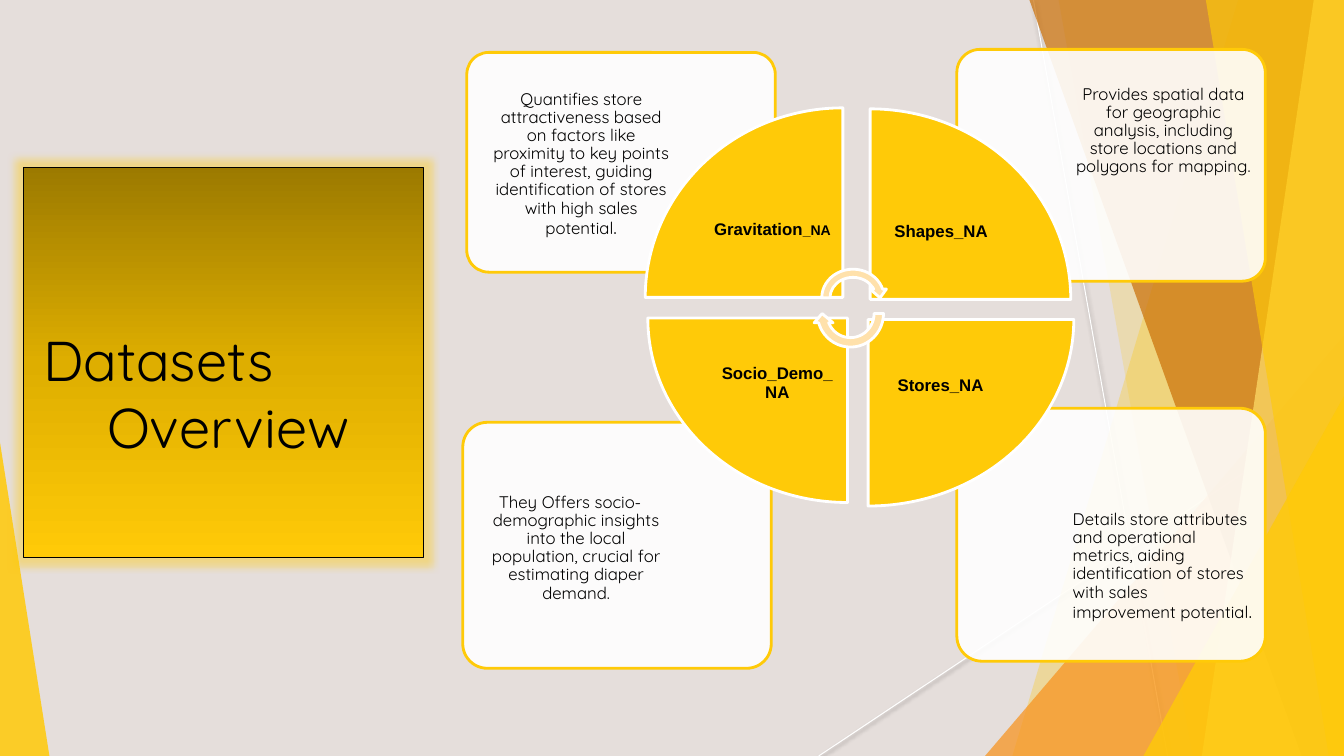
from dataclasses import dataclass

from lxml.etree import SubElement
from pptx import Presentation
from pptx.dml.color import RGBColor
from pptx.enum.shapes import MSO_CONNECTOR, MSO_SHAPE
from pptx.enum.text import MSO_ANCHOR as Anchor, MSO_AUTO_SIZE, PP_ALIGN as Align
from pptx.oxml import parse_xml
from pptx.oxml.ns import nsdecls, qn
from pptx.util import Inches, Pt

Box = tuple[float, float, float, float]
Point = tuple[float, float]


@dataclass(frozen=True)
class Theme:
    background: str = "E5DEDB"
    gold: str = "FFCA08"
    pale_gold: str = "FFDF6B"
    dark_gold: str = "9C7A00"
    mid_gold: str = "DEAE00"
    orange: str = "F8931D"
    brown: str = "CA6F06"
    arrow: str = "FFE1AB"
    white: str = "FFFFFF"
    black: str = "000000"
    display: str = "Quicksand"
    label: str = "Arial"
    title_size: float = 40
    body_size: float = 12
    stop_size: float = 14
    suffix_size: float = 10


THEME = Theme()
WIDTH, HEIGHT = 13.33, 7.5


@dataclass(frozen=True)
class Facet:
    """A translucent polygon of the backdrop."""
    points: tuple[Point, ...]
    color: str
    opacity: int


@dataclass(frozen=True)
class Corner:
    """A translucent triangle with its apex at the left (0) or right (1)."""
    box: Box
    apex: int
    color: str
    opacity: int


@dataclass(frozen=True)
class Card:
    frame: Box
    text_box: Box
    text: str
    top_inset: float
    stop: str = ""
    first_indent: float = 0
    align: Align = Align.CENTER


@dataclass(frozen=True)
class Wedge:
    box: Box
    rotation: int
    label_box: Box
    label: str
    suffix: str = ""


def right_band(top_x: float, bottom_x: float) -> tuple[Point, ...]:
    return ((top_x, 0), (WIDTH, 0), (WIDTH, HEIGHT), (bottom_x, HEIGHT))


RAYS = (((10.25, 0), (11.58, HEIGHT)), ((WIDTH, 4.03), (8.12, HEIGHT)))
BACKDROP = (
    Facet(right_band(12.28, 10.04), THEME.gold, 30),
    Facet(right_band(10.5, 11.83), THEME.gold, 20),
    Corner((9.77, 3.33, 3.56, 4.17), 1, THEME.orange, 72),
    Facet(right_band(10.21, 12.91), THEME.brown, 70),
    Facet(right_band(13.03, 11.92), THEME.pale_gold, 70),
    Facet(right_band(11.96, 13.18), THEME.gold, 65),
    Corner((11.34, 3.93, 1.99, 3.57), 1, THEME.gold, 80),
    Corner((0, 4.39, 0.49, 3.11), 0, THEME.gold, 85),
)
CARDS = (
    Card((9.49, 4.05, 3.06, 2.51), (10.46, 4.73, 2.03, 1.77),
         "Details store attributes and operational metrics, aiding identification "
         "of stores with sales improvement potential", 0.34, ".", align=Align.LEFT),
    Card((4.59, 4.19, 3.06, 2.44), (4.64, 4.85, 2.03, 1.72),
         "They Offers socio-demographic insights into the local population, "
         "crucial for estimating diaper demand.", 0.05, first_indent=-0.12),
    Card((9.49, 0.49, 3.06, 2.3), (10.46, 0.54, 2.04, 1.62),
         "Provides spatial data for geographic analysis, including store "
         "locations and polygons for mapping.", 0.31),
    Card((4.63, 0.52, 3.06, 2.18), (4.68, 0.57, 2.05, 1.54),
         "Quantifies store attractiveness based on factors like proximity to key "
         "points of interest, guiding identification of stores with high sales "
         "potential", 0.33, "."),
)
WEDGES = (
    Wedge((6.4, 1.07, 1.96, 1.88), 0, (6.97, 1.62, 1.38, 1.33), "Gravitation", "_NA"),
    Wedge((8.68, 1.03, 1.89, 1.99), 90, (8.63, 1.63, 1.41, 1.34), "Shapes_NA"),
    Wedge((8.61, 3.17, 2.04, 1.85), 180, (8.61, 3.17, 1.44, 1.31), "Stores_NA"),
    Wedge((6.5, 3.08, 1.83, 1.98), 270, (7.01, 3.16, 1.4, 1.29), "Socio_Demo_NA"),
)
CYCLE_ARROWS = (((8.11, 2.63, 0.7, 0.65), 0), ((8.06, 2.73, 0.75, 0.76), 180))


def inches(box: Box) -> list[Inches]:
    return [Inches(length) for length in box]


def paint(shape, color: str, opacity: int = 100, outline: str = "", weight: float = 2) -> None:
    shape.shadow.inherit = False
    shape.fill.solid()
    shape.fill.fore_color.rgb = RGBColor.from_string(color)
    if opacity < 100:
        tint = shape._element.spPr.find(qn("a:solidFill")).find(qn("a:srgbClr"))
        SubElement(tint, qn("a:alpha")).set("val", str(opacity * 1000))
    if outline:
        shape.line.color.rgb = RGBColor.from_string(outline)
        shape.line.width = Pt(weight)
    else:
        shape.line.fill.background()


def add_run(paragraph, text: str, *, font: str, size: float, bold: bool = False) -> None:
    run = paragraph.add_run()
    run.text = text
    run.font.name = font
    run.font.size = Pt(size)
    run.font.bold = bold
    run.font.color.rgb = RGBColor.from_string(THEME.black)


def add_text(shapes, box: Box, parts: list[tuple[str, float]], *, font: str, inset: float,
             top: float, anchor: Anchor = Anchor.TOP, align: Align = Align.CENTER,
             bold: bool = False, margin: float = 0, indent: float = 0) -> None:
    """Add a one-paragraph box whose parts are (text, size) pairs."""
    frame = shapes.add_textbox(*inches(box)).text_frame
    frame.word_wrap = True
    frame.vertical_anchor = anchor
    frame.margin_left = frame.margin_right = frame.margin_bottom = Inches(inset)
    frame.margin_top = Inches(top)
    paragraph = frame.paragraphs[0]
    paragraph.alignment = align
    paragraph.line_spacing = 0.9
    properties = paragraph._p.get_or_add_pPr()
    properties.set("marL", str(Inches(margin)))
    properties.set("indent", str(Inches(indent)))
    for text, size in parts:
        if text:
            add_run(paragraph, text, font=font, size=size, bold=bold)


def draw_backdrop(shapes) -> None:
    for start, end in RAYS:
        ray = shapes.add_connector(MSO_CONNECTOR.STRAIGHT, *inches(start + end))
        ray.line.color.rgb = RGBColor.from_string(THEME.white)
        ray.line.width = Pt(0.75)
        ray._element.spPr.append(parse_xml(
            f'<a:effectLst {nsdecls("a")}><a:outerShdw blurRad="39370" dist="20320" '
            f'dir="5400000"><a:srgbClr val="{THEME.black}"><a:alpha val="38000"/>'
            '</a:srgbClr></a:outerShdw></a:effectLst>'))
    for piece in BACKDROP:
        if isinstance(piece, Facet):
            first, *rest = [(Inches(x), Inches(y)) for x, y in piece.points]
            outline = shapes.build_freeform(*first)
            outline.add_line_segments(rest, close=True)
            shape = outline.convert_to_shape()
        else:
            shape = shapes.add_shape(MSO_SHAPE.ISOSCELES_TRIANGLE, *inches(piece.box))
            shape.adjustments[0] = piece.apex
        paint(shape, piece.color, piece.opacity)


def draw_title(slide) -> None:
    title = slide.shapes.title
    slide.shapes._spTree.append(title._element)
    title.left, title.top, title.width, title.height = inches((0.23, 1.66, 3.97, 3.87))
    stops = "".join(f'<a:gs pos="{place}"><a:srgbClr val="{color}"/></a:gs>' for place, color in
                    ((0, THEME.dark_gold), (50000, THEME.mid_gold), (100000, THEME.gold)))
    title._element.spPr.append(parse_xml(
        f'<a:gradFill {nsdecls("a")} rotWithShape="1"><a:gsLst>{stops}</a:gsLst>'
        '<a:lin ang="5400000" scaled="0"/></a:gradFill>'))
    title.line.color.rgb = RGBColor.from_string(THEME.black)
    title.line.width = Pt(0.75)
    title._element.spPr.append(parse_xml(
        f'<a:effectLst {nsdecls("a")}><a:glow rad="139700"><a:srgbClr val="{THEME.gold}">'
        '<a:alpha val="40000"/></a:srgbClr></a:glow></a:effectLst>'))
    frame = title.text_frame
    frame.auto_size = MSO_AUTO_SIZE.NONE
    frame.word_wrap = True
    frame.vertical_anchor = Anchor.TOP
    frame.margin_top = Inches(1.57)
    datasets, overview = frame.paragraphs[0], frame.add_paragraph()
    datasets._p.get_or_add_pPr().set("marL", str(Inches(0.1)))
    for line, text, align in ((datasets, "Datasets", Align.LEFT), (overview, "Overview", Align.CENTER)):
        line.alignment = align
        line.space_before = Pt(0)
        add_run(line, text, font=THEME.display, size=THEME.title_size)


def draw_card(shapes, card: Card) -> None:
    panel = shapes.add_shape(MSO_SHAPE.ROUNDED_RECTANGLE, *inches(card.frame))
    panel.adjustments[0] = 0.1
    paint(panel, THEME.white, 90, THEME.gold)
    add_text(shapes, card.text_box, [(card.text, THEME.body_size), (card.stop, THEME.stop_size)],
             font=THEME.display, inset=0.06, top=card.top_inset, align=card.align,
             margin=0.12, indent=card.first_indent)


def draw_turned(shapes, kind: MSO_SHAPE, box: Box, rotation: int, color: str) -> None:
    shape = shapes.add_shape(kind, *inches(box))
    shape.rotation = rotation
    paint(shape, color, outline=THEME.white)


def main() -> None:
    deck = Presentation()
    deck.slide_width, deck.slide_height = Inches(WIDTH), Inches(HEIGHT)
    slide = deck.slides.add_slide(deck.slide_layouts.get_by_name("Title Only"))
    slide.background.fill.solid()
    slide.background.fill.fore_color.rgb = RGBColor.from_string(THEME.background)
    shapes = slide.shapes
    draw_backdrop(shapes)
    draw_title(slide)
    for card in CARDS:
        draw_card(shapes, card)
    for wedge in WEDGES:
        draw_turned(shapes, MSO_SHAPE.PIE_WEDGE, wedge.box, wedge.rotation, THEME.gold)
        add_text(shapes, wedge.label_box,
                 [(wedge.label, THEME.body_size), (wedge.suffix, THEME.suffix_size)],
                 font=THEME.label, inset=0.09, top=0.09, anchor=Anchor.MIDDLE, bold=True)
    for box, rotation in CYCLE_ARROWS:
        draw_turned(shapes, MSO_SHAPE.CIRCULAR_ARROW, box, rotation, THEME.arrow)
    deck.save("out.pptx")


if __name__ == "__main__":
    main()
